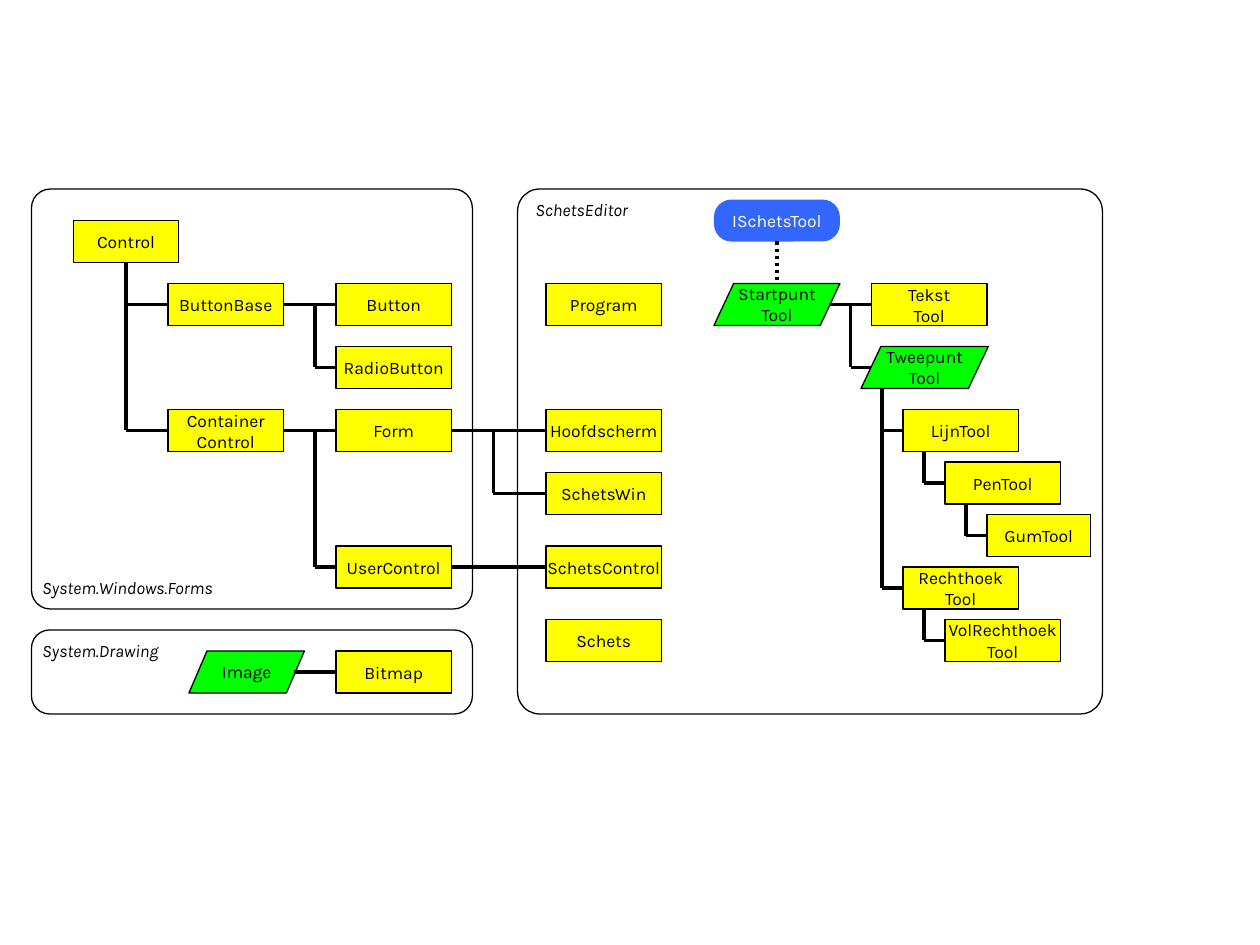
from lxml import etree
from pptx import Presentation
from pptx.dml.color import RGBColor
from pptx.enum import dml, shapes, text
from pptx.oxml import ns
from pptx.util import Cm, Pt

BLACK = RGBColor(0x00, 0x00, 0x00)
WHITE = RGBColor(0xFF, 0xFF, 0xFF)
YELLOW = RGBColor(0xFF, 0xFF, 0x00)
GREEN = RGBColor(0x00, 0xFF, 0x00)
BLUE = RGBColor(0x33, 0x66, 0xFF)

FONT = "Karla"
GRID_PER_INCH = 12
BOX_WIDTH = 11
BOX_HEIGHT = 4
TOP, LEFT, BOTTOM, RIGHT = range(4)

PACKAGES = [
    ("SchetsEditor", (49.3, 18, 55.7, 50), 0.042, (51, 19, 13)),
    ("System.Windows.Forms", (3, 18, 42, 40), 0.045, (4, 55, 20)),
    ("System.Drawing", (3, 60, 42, 8), 0.216, (4, 61, 20)),
]

CLASSES = [
    ("Control", 7, 21, 10),
    ("ButtonBase", 16, 27, BOX_WIDTH),
    ("Container\nControl", 16, 39, BOX_WIDTH),
    ("Button", 32, 27, BOX_WIDTH),
    ("RadioButton", 32, 33, BOX_WIDTH),
    ("Form", 32, 39, BOX_WIDTH),
    ("UserControl", 32, 52, BOX_WIDTH),
    ("Bitmap", 32, 62, BOX_WIDTH),
    ("Program", 52, 27, BOX_WIDTH),
    ("Hoofdscherm", 52, 39, BOX_WIDTH),
    ("SchetsWin", 52, 45, BOX_WIDTH),
    ("SchetsControl", 52, 52, BOX_WIDTH),
    ("Schets", 52, 59, BOX_WIDTH),
    ("Tekst\nTool", 83, 27, BOX_WIDTH),
    ("LijnTool", 86, 39, BOX_WIDTH),
    ("PenTool", 90, 44, BOX_WIDTH),
    ("GumTool", 94, 49, 9.84),
    ("Rechthoek\nTool", 86, 54, BOX_WIDTH),
    ("VolRechthoek\nTool", 90, 59, BOX_WIDTH),
]

ABSTRACT_CLASSES = [
    ("Startpunt\nTool", 68, 27, 12, 0.469),
    ("Tweepunt\nTool", 82, 33, 12.12, 0.473),
    ("Image", 18, 62, BOX_WIDTH, 0.429),
]

DIRECT_LINKS = [
    ("ButtonBase", "Button"),
    ("Container\nControl", "Form"),
    ("Form", "Hoofdscherm"),
    ("UserControl", "SchetsControl"),
]

TRUNKS = [
    ((30, 29), [("RadioButton", 35)]),
    ((30, 41), [("UserControl", 54)]),
    ((47, 41), [("SchetsWin", 47)]),
    ((84, 37), [("LijnTool", 41), ("Rechthoek\nTool", 56)]),
    ((88, 43), [("PenTool", 46)]),
    ((92, 48), [("GumTool", 51)]),
    ((88, 58), [("VolRechthoek\nTool", 61)]),
]


def grid(*steps):
    return [Cm(step * 2.54 / GRID_PER_INCH) for step in steps]


def write(paragraph, wording, color, italic=False):
    for index, line in enumerate(wording.split("\n")):
        if index:
            paragraph.add_line_break()
        run = paragraph.add_run()
        run.text = line
        run.font.name = FONT
        run.font.size = Pt(10)
        run.font.italic = italic
        run.font.color.rgb = color


def outline(shape):
    shape.line.color.rgb = BLACK
    shape.line.width = Pt(0.75)


def add_box(slide, kind, name, left, top, width, fill, ink=BLACK, adjust=None):
    box = slide.shapes.add_shape(kind, *grid(left, top, width, BOX_HEIGHT))
    box.shadow.inherit = False
    box.fill.solid()
    box.fill.fore_color.rgb = fill
    if adjust is not None:
        box.adjustments[0] = adjust
    frame = box.text_frame
    frame.word_wrap = False
    frame.vertical_anchor = text.MSO_ANCHOR.MIDDLE
    frame.paragraphs[0].alignment = text.PP_ALIGN.CENTER
    write(frame.paragraphs[0], name, ink)
    return box


def add_package(slide, name, area, rounding, label_place):
    border = slide.shapes.add_shape(shapes.MSO_SHAPE.ROUNDED_RECTANGLE, *grid(*area))
    border.shadow.inherit = False
    border.adjustments[0] = rounding
    border.fill.background()
    outline(border)

    label = slide.shapes.add_textbox(*grid(*label_place, 2))
    frame = label.text_frame
    frame.word_wrap = True
    frame.margin_left = frame.margin_right = 0
    frame.margin_top = frame.margin_bottom = 0
    write(frame.paragraphs[0], name, BLACK, italic=True)


def add_link(slide, start, end, begin_at=None, end_at=None):
    link = slide.shapes.add_connector(
        shapes.MSO_CONNECTOR.STRAIGHT, *grid(*start, *end))
    if begin_at:
        link.begin_connect(*begin_at)
    if end_at:
        link.end_connect(*end_at)
    link.line.color.rgb = BLACK
    link.line.width = Pt(2)
    properties = link._element.spPr
    etree.SubElement(properties, ns.qn("a:effectLst"))
    return link


def add_trunk(slide, boxes, start, children, parent=None):
    x = start[0]
    add_link(slide, start, (x, children[-1][1]),
             begin_at=(parent, BOTTOM) if parent else None)
    for child, y in children:
        add_link(slide, (x, y), (x + 2, y), end_at=(boxes[child], LEFT))


def add_classes(slide):
    boxes = {}
    for name, left, top, width in CLASSES:
        boxes[name] = add_box(slide, shapes.MSO_SHAPE.RECTANGLE,
                              name, left, top, width, YELLOW)
        outline(boxes[name])
    for name, left, top, width, slant in ABSTRACT_CLASSES:
        boxes[name] = add_box(slide, shapes.MSO_SHAPE.PARALLELOGRAM,
                              name, left, top, width, GREEN, adjust=slant)
        outline(boxes[name])
    return boxes


def add_inheritance(slide, boxes):
    for parent, child in DIRECT_LINKS:
        add_link(slide, (0, 0), (1, 0),
                 (boxes[parent], RIGHT), (boxes[child], LEFT))
    for start, children in TRUNKS:
        add_trunk(slide, boxes, start, children)
    add_trunk(slide, boxes, (12, 25),
              [("ButtonBase", 29), ("Container\nControl", 41)], boxes["Control"])
    add_link(slide, (79, 29), (83, 29), end_at=(boxes["Tekst\nTool"], LEFT))
    add_link(slide, (28, 64), (32, 64), end_at=(boxes["Bitmap"], LEFT))
    add_link(slide, (81, 29), (81, 35))
    add_link(slide, (81, 35), (83, 35))


def add_interface(slide):
    interface = add_box(slide, shapes.MSO_SHAPE.ROUNDED_RECTANGLE,
                        "ISchetsTool", 68, 19, 12, BLUE, WHITE, 0.417)
    interface.line.fill.background()
    implements = add_link(slide, (74, 23), (74, 27), begin_at=(interface, BOTTOM))
    implements.line.dash_style = dml.MSO_LINE.ROUND_DOT


def main():
    deck = Presentation()
    deck.slide_width = Cm(25.4)
    deck.slide_height = Cm(19.05)
    slide = deck.slides.add_slide(deck.slide_layouts[6])
    boxes = add_classes(slide)
    add_interface(slide)
    add_inheritance(slide, boxes)
    for package_area in PACKAGES:
        add_package(slide, *package_area)
    deck.save("out.pptx")


if __name__ == "__main__":
    main()
